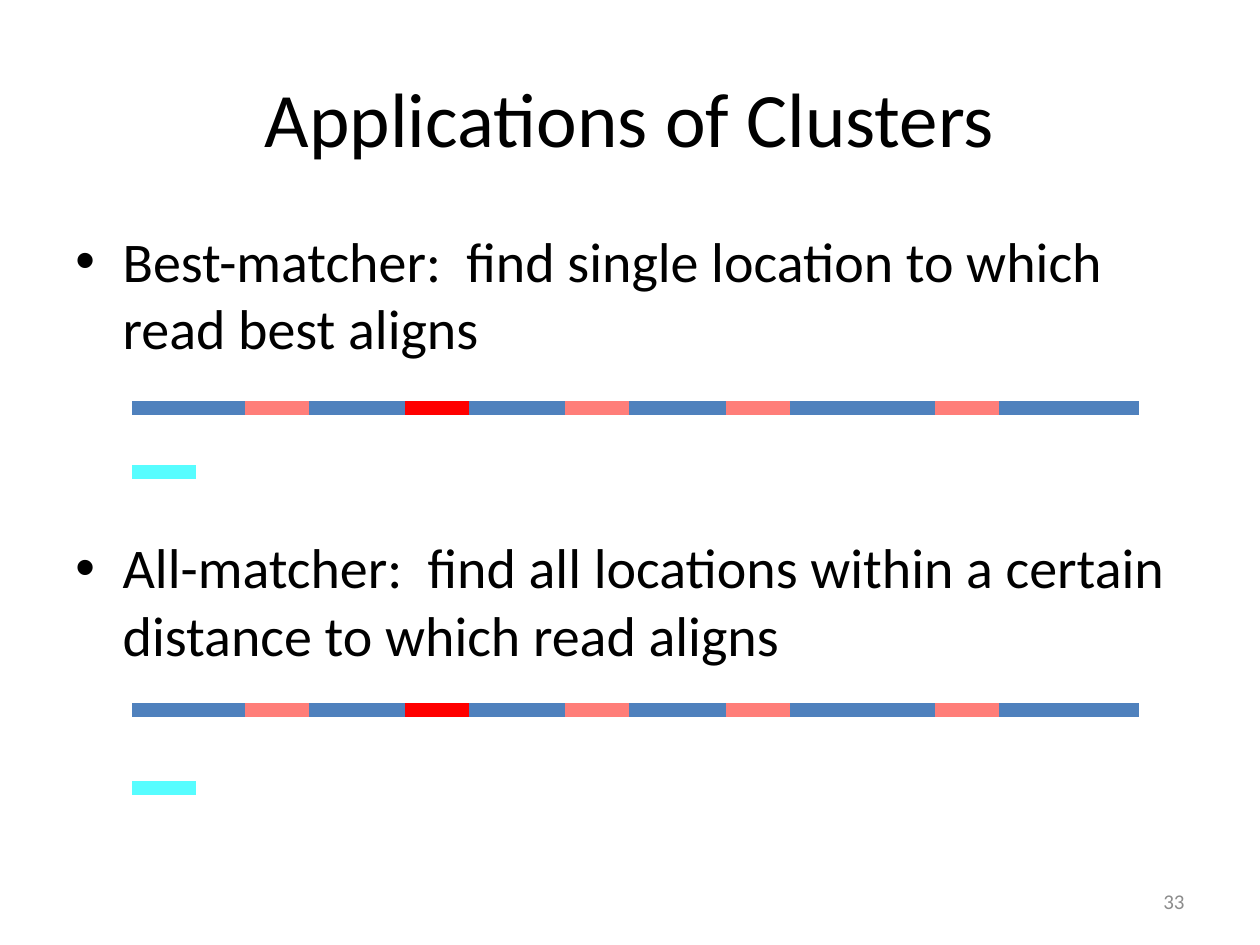
from dataclasses import dataclass

from lxml.etree import SubElement
from pptx import Presentation
from pptx.dml.color import RGBColor
from pptx.enum.shapes import MSO_CONNECTOR
from pptx.enum.text import MSO_ANCHOR, PP_ALIGN
from pptx.oxml.ns import qn
from pptx.util import Pt


@dataclass(frozen=True)
class Theme:
    font: str = "Calibri"
    title_size: int = 44
    body_size: int = 32
    number_size: int = 12
    text: str = "000000"
    number: str = "8C8C8C"
    genome: str = "4F81BD"
    candidate: str = "FF7E79"
    best: str = "FF0000"
    read: str = "57FDFF"


theme = Theme()

prs = Presentation()
prs.slide_width, prs.slide_height = Pt(720), Pt(540)
s = prs.slides.add_slide(prs.slide_layouts[6])


def add_text(text, box, size, color, align=PP_ALIGN.LEFT,
             anchor=MSO_ANCHOR.TOP, bullet=False):
    tf = s.shapes.add_textbox(*map(Pt, box)).text_frame
    tf.word_wrap = True
    tf.vertical_anchor = anchor
    p = tf.paragraphs[0]
    p.text = text
    p.alignment = align
    if bullet:
        pPr = p._p.get_or_add_pPr()
        pPr.set("marL", str(Pt(27)))
        pPr.set("indent", str(-Pt(27)))
        SubElement(pPr, qn("a:buFont")).set("typeface", "Arial")
        SubElement(pPr, qn("a:buChar")).set("char", "•")
    font = p.runs[0].font
    font.name, font.size = theme.font, Pt(size)
    font.color.rgb = RGBColor.from_string(color)


def add_bar(x, y, width, color):
    line = s.shapes.add_connector(
        MSO_CONNECTOR.STRAIGHT, Pt(x), Pt(y), Pt(x + width), Pt(y))
    line.line.width = Pt(8)
    line.line.color.rgb = RGBColor.from_string(color)
    SubElement(line._element.spPr, qn("a:effectLst"))


add_text("Applications of Clusters", (36, 21.6, 648, 90), theme.title_size,
         theme.text, PP_ALIGN.CENTER, MSO_ANCHOR.MIDDLE)
add_text("33", (516, 500.5, 168, 28.8), theme.number_size,
         theme.number, PP_ALIGN.RIGHT, MSO_ANCHOR.MIDDLE)

# Wording, text top, text height, genome line and read line of each matcher
matchers = [
    ("Best-matcher:  find single location to which read best aligns",
     126, 91.5, 233.2, 269.7),
    ("All-matcher:  find all locations within a certain distance "
     "to which read aligns",
     301, 85, 406, 450.2),
]
genome_left, genome_width, read_width = 75.6, 575.3, 36.6
locations = [
    (139.9, theme.candidate),
    (231.5, theme.best),
    (323, theme.candidate),
    (414.8, theme.candidate),
    (534.5, theme.candidate),
]

for text, top, height, genome_y, read_y in matchers:
    add_text(text, (36, top, 648, height), theme.body_size, theme.text,
             bullet=True)
    add_bar(genome_left, genome_y, genome_width, theme.genome)
    for x, color in locations:
        add_bar(x, genome_y, read_width, color)
    add_bar(genome_left, read_y, read_width, theme.read)

prs.save("out.pptx")
